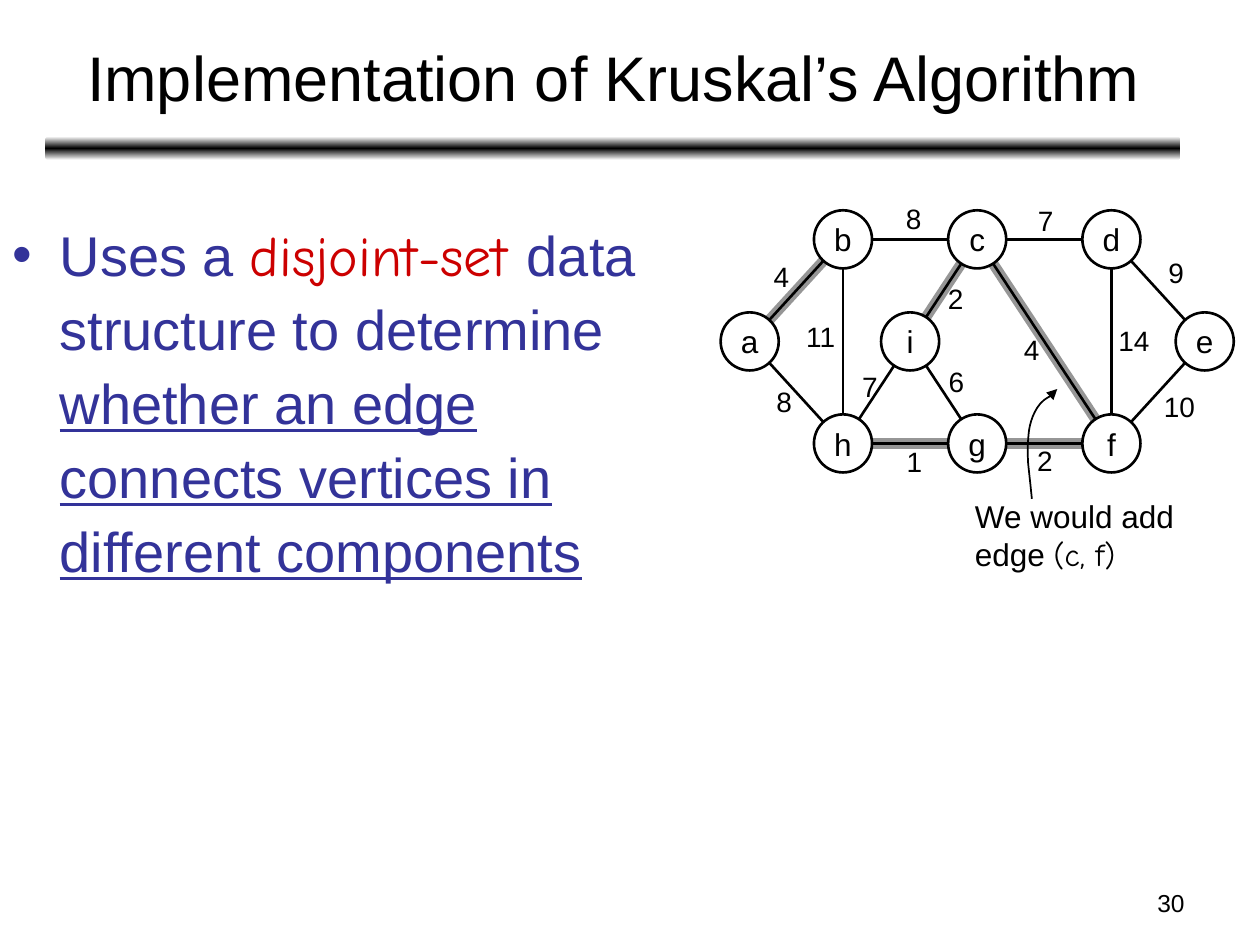
from copy import deepcopy
from math import hypot

from pptx import Presentation
from pptx.dml.color import RGBColor
from pptx.enum.shapes import MSO_CONNECTOR, MSO_SHAPE
from pptx.enum.text import MSO_ANCHOR, PP_ALIGN
from pptx.oxml.ns import qn
from pptx.oxml.xmlchemy import OxmlElement
from pptx.util import Pt

BLACK, WHITE, GRAY, BLUE, RED = "000000", "FFFFFF", "969696", "333399", "CC0000"
SANS, HAND = "Arial", "Comic Neue"
RADIUS = 16.6

COLS = [481.7 + 76.7 * i for i in range(3)]
ROWS = [136.8 + 58.3 * i for i in range(3)]
NODES = {
    "a": (COLS[0] - 53.3, ROWS[1]),
    "b": (COLS[0], ROWS[0]),
    "c": (COLS[1], ROWS[0]),
    "d": (COLS[2], ROWS[0]),
    "e": (COLS[2] + 53.3, ROWS[1]),
    "h": (COLS[0], ROWS[2]),
    "g": (COLS[1], ROWS[2]),
    "f": (COLS[2], ROWS[2]),
    "i": ((COLS[0] + COLS[1]) / 2, ROWS[1]),
}
CHOSEN = ["cf", "ab", "hg", "gf", "ci"]
EDGES = {
    "ab": ("4", 435, 145), "bc": ("8", 510.5, 111.5), "cd": ("7", 586, 113),
    "ah": ("8", 436.5, 216), "bh": ("11", 453.6, 179), "hg": ("1", 511, 250.5),
    "gf": ("2", 585.5, 250), "hi": ("7", 485.5, 207.5), "ci": ("2", 534.5, 157.5),
    "cf": ("4", 578, 186.5), "df": ("14", 632, 181.5), "de": ("9", 660.5, 142.5),
    "ef": ("10", 658, 219), "ig": ("6", 535, 205),
}
ARROW_START = (589.7, 285.1)
ARROW_CURVES = [
    [(589, 278), (588.2, 271.2), (587.5, 264.2)],
    [(587.3, 259), (587.2, 254), (587.8, 248.4)],
    [(588.2, 242), (591.1, 233.3), (596.2, 229)],
    [(597.3, 228), (598.5, 227.4), (599.8, 226.6)],
    [(601.6, 225), (600.8, 225.4), (602.6, 224.4)],
    [(603.4, 223.8), (603.9, 222.6), (604.2, 222.3)],
]


def color(hex_string):
    return RGBColor.from_string(hex_string)


def bezier_points(start, curves, steps=8):
    points = []
    for c1, c2, end in curves:
        for n in range(1, steps + 1):
            t = n / steps
            weights = ((1 - t) ** 3, 3 * t * (1 - t) ** 2, 3 * t * t * (1 - t), t ** 3)
            points.append(tuple(
                sum(w * p[axis] for w, p in zip(weights, (start, c1, c2, end)))
                for axis in (0, 1)))
        start = end
    return points


class SlideBuilder:
    def __init__(self, slide):
        self.shapes = slide.shapes

    def run(self, p, text, size, font=SANS, hue=BLACK, underline=None):
        r = p.add_run()
        r.text = text
        r.font.size, r.font.name = Pt(size), font
        r.font.color.rgb = color(hue)
        r.font.underline = underline

    def text(self, x, y, w, h, paragraphs, size, align=PP_ALIGN.LEFT,
             anchor=MSO_ANCHOR.TOP):
        tf = self.shapes.add_textbox(Pt(x), Pt(y), Pt(w), Pt(h)).text_frame
        tf.word_wrap, tf.vertical_anchor = True, anchor
        for n, runs in enumerate(paragraphs):
            p = tf.add_paragraph() if n else tf.paragraphs[0]
            p.alignment = align
            for content, *style in runs:
                self.run(p, content, size, *style)
        return tf

    def bullet(self, p, indent, hue):
        pPr = p._p.get_or_add_pPr()
        pPr.set("marL", str(Pt(indent)))
        pPr.set("indent", str(-Pt(indent)))
        clr, rgb, font, char = (
            OxmlElement(t) for t in ("a:buClr", "a:srgbClr", "a:buFont", "a:buChar"))
        rgb.set("val", hue)
        font.set("typeface", SANS)
        char.set("char", "•")
        clr.append(rgb)
        pPr.extend([clr, font, char])

    def gradient_bar(self, x, y, w, h, hues):
        s = self.shapes.add_shape(MSO_SHAPE.ROUNDED_RECTANGLE, Pt(x), Pt(y), Pt(w), Pt(h))
        s.shadow.inherit = False
        s.line.fill.background()
        s.fill.gradient()
        s.fill.gradient_angle = 90
        stops = s._element.spPr.find(".//" + qn("a:gsLst"))
        stops.append(deepcopy(stops[0]))
        for n, (stop, hue) in enumerate(zip(s.fill.gradient_stops, hues)):
            stop.position = n / (len(hues) - 1)
            stop.color.rgb = color(hue)

    def node(self, name):
        x, y = NODES[name]
        s = self.shapes.add_shape(MSO_SHAPE.OVAL, Pt(x - RADIUS), Pt(y - RADIUS),
                                  Pt(2 * RADIUS), Pt(2 * RADIUS))
        s.shadow.inherit = False
        s.fill.background()
        s.line.color.rgb, s.line.width = color(BLACK), Pt(1.5)
        tf = s.text_frame
        tf.word_wrap, tf.vertical_anchor = False, MSO_ANCHOR.MIDDLE
        p = tf.paragraphs[0]
        p.alignment = PP_ALIGN.CENTER
        self.run(p, name, 18)

    def edge(self, ends, hue, width):
        (x1, y1), (x2, y2) = (NODES[name] for name in ends)
        ratio = RADIUS / hypot(x2 - x1, y2 - y1)
        dx, dy = (x2 - x1) * ratio, (y2 - y1) * ratio
        s = self.shapes.add_connector(MSO_CONNECTOR.STRAIGHT, Pt(x1 + dx), Pt(y1 + dy),
                                      Pt(x2 - dx), Pt(y2 - dy))
        s.line.color.rgb, s.line.width = color(hue), Pt(width)
        s._element.spPr.append(OxmlElement("a:effectLst"))

    def weight(self, label, x, y):
        self.text(x, y, 14.4 + 10 * len(label), 26.6, [[(label,)]], 16)

    def curved_arrow(self, start, curves):
        builder = self.shapes.build_freeform(Pt(start[0]), Pt(start[1]))
        builder.add_line_segments(
            [(Pt(x), Pt(y)) for x, y in bezier_points(start, curves)], close=False)
        s = builder.convert_to_shape()
        s.shadow.inherit = False
        s.fill.background()
        s.line.color.rgb, s.line.width = color(BLACK), Pt(1)
        tail = OxmlElement("a:tailEnd")
        tail.set("type", "triangle")
        s.line._get_or_add_ln().append(tail)


def main():
    prs = Presentation()
    prs.slide_width, prs.slide_height = Pt(720), Pt(540)
    slide = SlideBuilder(prs.slides.add_slide(prs.slide_layouts[6]))

    slide.gradient_bar(26, 78, 648.5, 13.5, [WHITE, BLACK, WHITE])
    slide.text(516, 504, 168, 25, [[("30",)]], 14, PP_ALIGN.RIGHT)

    for ends in CHOSEN:
        slide.edge(ends, GRAY, 6)
    slide.text(550, 280.4, 132, 50.4,
               [[("We would add",)], [("edge ",), ("(c, f)", HAND)]], 18)
    slide.curved_arrow(ARROW_START, ARROW_CURVES)
    for name in NODES:
        slide.node(name)
    for ends in EDGES:
        slide.edge(ends, BLACK, 1.5)
    for label, x, y in EDGES.values():
        slide.weight(label, x, y)

    slide.text(26.6, 8, 648, 71, [[("Implementation of Kruskal’s Algorithm",)]], 36,
               PP_ALIGN.CENTER, MSO_ANCHOR.MIDDLE)
    body = slide.text(0, 118.8, 400, 261, [[
        ("Uses a ", SANS, BLUE),
        ("disjoint-set ", HAND, RED),
        ("data structure to determine ", SANS, BLUE),
        ("whether an edge connects vertices in different components", SANS, BLUE, True),
    ]], 32)
    p = body.paragraphs[0]
    p.line_spacing = 1.1
    slide.bullet(p, 27, BLUE)

    prs.save("out.pptx")


if __name__ == "__main__":
    main()
